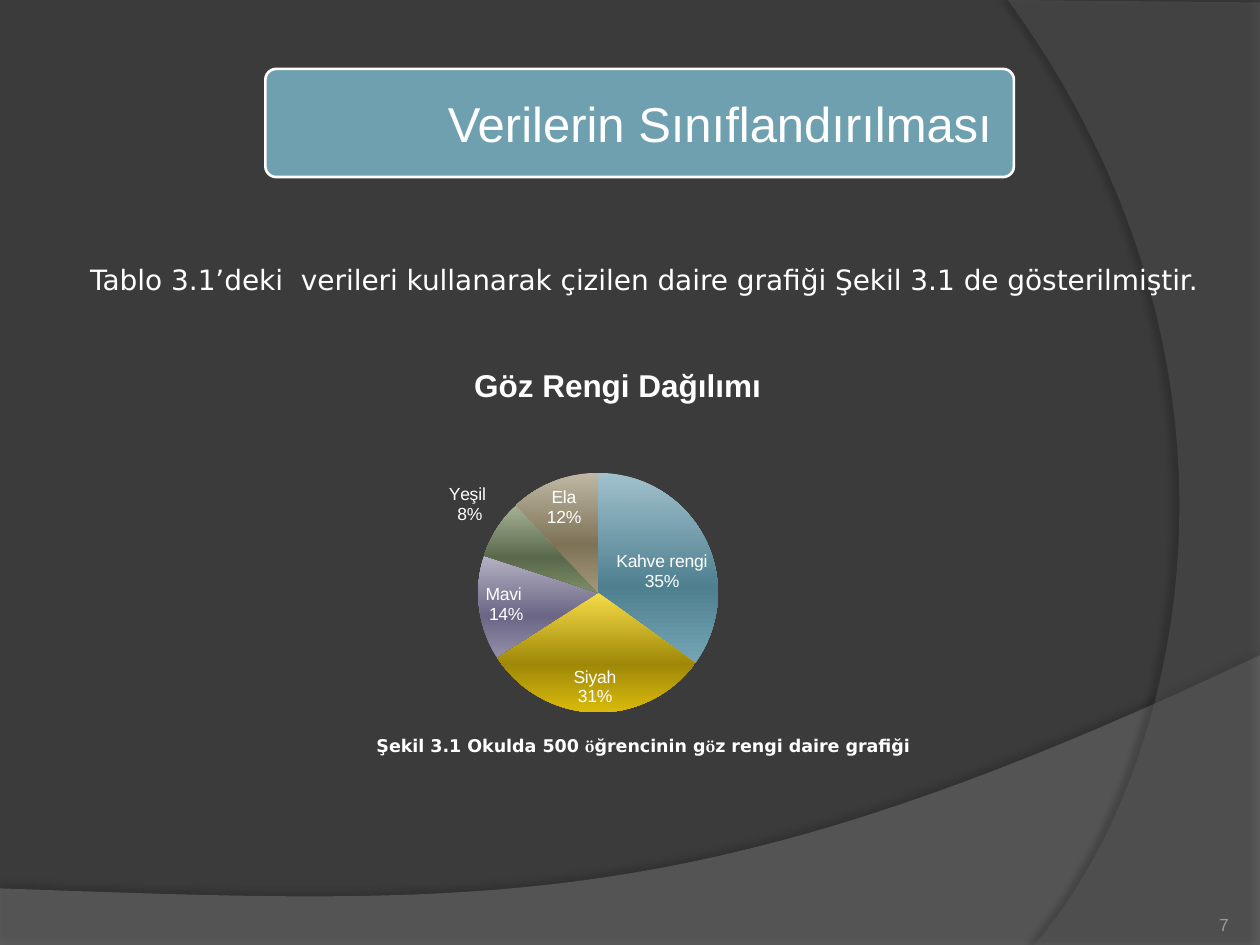
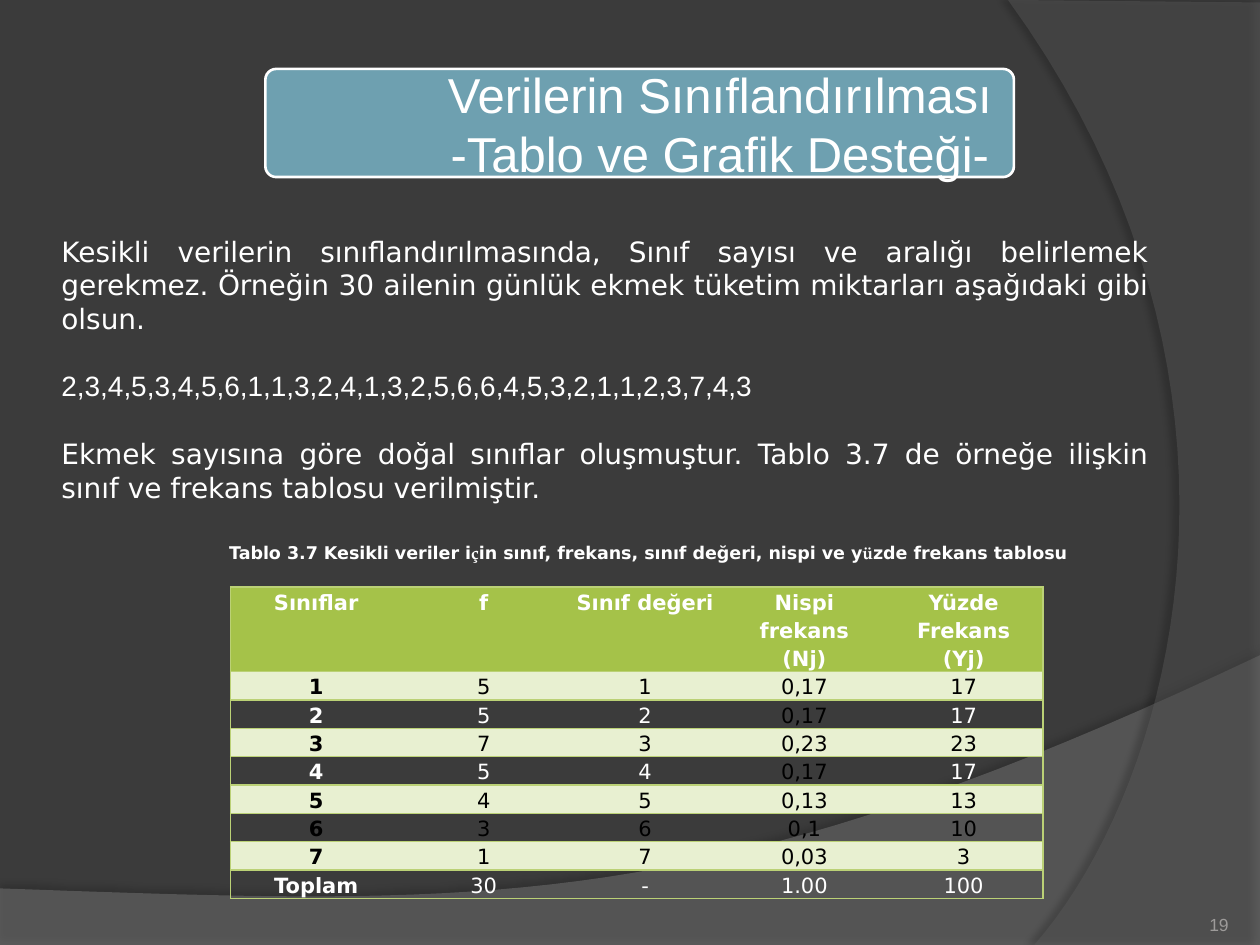
from copy import deepcopy
from dataclasses import dataclass
from itertools import cycle

from lxml.etree import SubElement
from pptx import Presentation
from pptx.chart.data import CategoryChartData
from pptx.dml.color import RGBColor
from pptx.enum.chart import XL_CHART_TYPE, XL_LABEL_POSITION
from pptx.enum.shapes import MSO_SHAPE
from pptx.enum.text import MSO_ANCHOR, MSO_AUTO_SIZE, PP_ALIGN
from pptx.oxml.ns import qn
from pptx.util import Cm, Pt


@dataclass(frozen=True)
class Theme:
    """Colours, fonts and type sizes of the presentation."""

    background: str = "3B3B3B"
    lower_wave: str = "7F7F7F"
    right_wave: str = "5E5E5E"
    banner: str = "6EA0B0"
    light: str = "FFFFFF"
    dark: str = "000000"
    page_number: str = "9D9B9A"
    table_header: str = "A5C249"
    table_band: str = "E8F0D1"
    table_border: str = "BBD176"
    slices: tuple = ("6EA0B0", "CCAF0A", "8D89A4", "748560", "9E9273")
    sans: str = "Arial"
    body: str = "DejaVu Sans"
    serif: str = "TeX Gyre Pagella"
    title_size: int = 28
    chart_title_size: int = 18
    body_size: int = 16
    table_size: int = 12
    small_size: int = 10


THEME = Theme()
TITLE = "Verilerin Sınıflandırılması"
EYE_COLOURS = {"Kahve rengi": 35, "Siyah": 31, "Mavi ": 14, "Yeşil ": 8, "Ela": 12}
BREAD_TABLE = [
    ["Sınıflar", "f", "Sınıf değeri", "Nispi frekans (Nj)", "Yüzde Frekans (Yj)"],
    ["1", "5", "1", "0,17", "17"],
    ["2", "5", "2", "0,17", "17"],
    ["3", "7", "3", "0,23", "23"],
    ["4", "5", "4", "0,17", "17"],
    ["5", "4", "5", "0,13", "13"],
    ["6", "3", "6", "0,1", "10"],
    ["7", "1", "7", "0,03", "3"],
    ["Toplam", "30", "-", "1.00", "100"],
]
BREAD_NOTES = [
    ("Kesikli verilerin sınıflandırılmasında, Sınıf sayısı ve aralığı belirlemek gerekmez. "
     "Örneğin 30 ailenin günlük ekmek tüketim miktarları aşağıdaki gibi olsun.", THEME.body),
    ("2,3,4,5,3,4,5,6,1,1,3,2,4,1,3,2,5,6,6,4,5,3,2,1,1,2,3,7,4,3", THEME.sans),
    ("Ekmek sayısına göre doğal sınıflar oluşmuştur. Tablo 3.7 de örneğe ilişkin "
     "sınıf ve frekans tablosu verilmiştir.", THEME.body),
]


def rgb(value):
    """Return the colour object of a hex value."""
    return RGBColor.from_string(value)


def apply_formats(target, formats):
    """Set every attribute named in formats on target."""
    for name, value in formats.items():
        setattr(target, name, value)


def format_font(font, size, name=THEME.sans, color=THEME.light, bold=False):
    """Set the face, size, weight and colour of a font."""
    apply_formats(font, {"size": Pt(size), "name": name, "bold": bold})
    font.color.rgb = rgb(color)


def box_cm(left, top, width, height):
    """Return a position and size given in centimetres."""
    return Cm(left), Cm(top), Cm(width), Cm(height)


def frame_formats(margin_x, margin_y, anchor=MSO_ANCHOR.MIDDLE, wrap=True):
    """Return the format values of a text frame."""
    return {
        "margin_left": Cm(margin_x), "margin_right": Cm(margin_x),
        "margin_top": Cm(margin_y), "margin_bottom": Cm(margin_y),
        "vertical_anchor": anchor, "word_wrap": wrap, "auto_size": MSO_AUTO_SIZE.NONE,
    }


def add_text(slide, box, paragraphs, size, align=PP_ALIGN.JUSTIFY, color=THEME.light,
             bold=False, gap=0, formats=frame_formats(0.25, 0.13)):
    """Add a text box whose paragraphs are lists of (text, font name) runs."""
    text_frame = slide.shapes.add_textbox(*box_cm(*box)).text_frame
    apply_formats(text_frame, formats)
    for index, runs in enumerate(paragraphs):
        paragraph = text_frame.add_paragraph() if index else text_frame.paragraphs[0]
        paragraph.alignment = align
        if index:
            paragraph.space_before = Pt(gap)
        for text, name in runs:
            run = paragraph.add_run()
            run.text = text
            format_font(run.font, size, name, color, bold)


def add_caption(slide, box, parts):
    """Add a bold caption whose parts alternate between sans and serif."""
    runs = list(zip(parts, cycle([THEME.body, THEME.serif])))
    add_text(slide, box, [runs], THEME.small_size, bold=True)


def curve_points(start, control_1, control_2, end, steps=40):
    """Return points along a cubic curve, after its start."""
    points = []
    for step in range(1, steps + 1):
        t = step / steps
        weights = ((1 - t) ** 3, 3 * t * (1 - t) ** 2, 3 * t * t * (1 - t), t ** 3)
        anchors = (start, control_1, control_2, end)
        points.append(tuple(sum(w * p[axis] for w, p in zip(weights, anchors))
                            for axis in (0, 1)))
    return points


def add_wave(slide, corners, curve, color, opacity, shadow):
    """Add a translucent wave with straight corners and one curved edge."""
    points = [(Cm(x), Cm(y)) for x, y in corners + curve_points(corners[-1], *curve)]
    builder = slide.shapes.build_freeform(*points[0])
    builder.add_line_segments(points[1:], close=True)
    wave = builder.convert_to_shape()
    wave.fill.solid()
    wave.fill.fore_color.rgb = rgb(color)
    wave.line.fill.background()
    wave.shadow.inherit = False
    fill_color = next(wave.element.spPr.iter(qn("a:srgbClr")))
    SubElement(fill_color, qn("a:alpha"), val=str(opacity * 1000))
    shadow_opacity, distance, direction = shadow
    effects = wave.element.spPr.find(qn("a:effectLst"))
    outer = SubElement(effects, qn("a:outerShdw"), blurRad=str(Pt(4)), dist=str(Pt(distance)),
                       dir=str(direction * 60000), algn="ctr", rotWithShape="0")
    shadow_color = SubElement(outer, qn("a:srgbClr"), val=THEME.dark)
    SubElement(shadow_color, qn("a:alpha"), val=str(shadow_opacity * 1000))


def add_title_banner(slide, lines):
    """Add the rounded banner and set the title placeholder on it."""
    banner = slide.shapes.add_shape(MSO_SHAPE.ROUNDED_RECTANGLE, *box_cm(5.35, 1.39, 15.09, 2.18))
    banner.adjustments[0] = 0.1
    banner.shadow.inherit = False
    banner.fill.solid()
    banner.fill.fore_color.rgb = rgb(THEME.banner)
    banner.line.color.rgb = rgb(THEME.light)
    banner.line.width = Pt(1.5)
    title = slide.shapes.title
    banner.element.addnext(title.element)
    apply_formats(title, dict(zip(("left", "top", "width", "height"),
                                  box_cm(8.59, 1.39, 11.84, 2.18))))
    title.text_frame.text = "\n".join(lines)
    apply_formats(title.text_frame, frame_formats(0.3, 0.3))
    for paragraph in title.text_frame.paragraphs:
        paragraph.alignment = PP_ALIGN.CENTER
        format_font(paragraph.font, THEME.title_size)


def add_base_slide(presentation, title_lines, number):
    """Add a title-only slide with waves, banner and page number."""
    slide = presentation.slides.add_slide(presentation.slide_layouts[5])
    add_wave(slide, [(0, 17.91), (0, 19.05), (25.4, 19.05), (25.4, 13.21)],
             [(14.2, 18.52), (9.93, 18.26), (0, 17.91)], THEME.lower_wave, 45, (35, 3.5, 270))
    add_wave(slide, [(25.4, 0.05), (25.4, 19.05), (20.85, 19.05)],
             [(23.75, 15.72), (25.86, 7.62), (20.32, 0)], THEME.right_wave, 40, (45, 4, 180))
    add_text(slide, (22.66, 17.83, 2.11, 1.02), [[(number, THEME.sans)]], THEME.small_size,
             PP_ALIGN.RIGHT, THEME.page_number, formats=frame_formats(0, 0, MSO_ANCHOR.BOTTOM))
    add_title_banner(slide, title_lines)
    return slide


def set_layout(element, **fractions):
    """Place a chart part by fractions of the chart area."""
    layout = element.find(qn("c:layout"))
    if layout is None:
        layout = SubElement(element, qn("c:layout"))
        element.insert(0, layout)
    manual = SubElement(layout, qn("c:manualLayout"))
    if "w" in fractions:
        SubElement(manual, qn("c:layoutTarget"), val="inner")
    for axis in "xy":
        SubElement(manual, qn(f"c:{axis}Mode"), val="edge")
    for name, value in fractions.items():
        SubElement(manual, qn(f"c:{name}"), val=str(value))


def format_slices(series):
    """Give each slice a three-stop gradient of its colour."""
    for index, color in enumerate(THEME.slices):
        fill = series.points[index].format.fill
        fill.gradient()
        fill.gradient_angle = 270
        stop_list = list(series._element.iter(qn("a:gsLst")))[-1]
        stop_list.append(deepcopy(stop_list[-1]))
        for stop, position, brightness in zip(fill.gradient_stops, (0, 0.6, 1),
                                              (0.35, -0.22, 0.05)):
            stop.position = position
            stop.color.rgb = rgb(color)
            stop.color.brightness = brightness


def add_pie(slide, box, heading, shares):
    """Add a pie chart with category and percent labels."""
    data = CategoryChartData()
    data.categories = list(shares)
    data.add_series("Series 1", list(shares.values()))
    chart = slide.shapes.add_chart(XL_CHART_TYPE.PIE, *box_cm(*box), data).chart
    chart.has_legend = False
    format_font(chart.font, THEME.small_size)
    chart.has_title = True
    title = chart.chart_title
    title.text_frame.text = heading
    format_font(title.text_frame.paragraphs[0].runs[0].font, THEME.chart_title_size, bold=True)
    set_layout(title._element, x=0.28, y=0.04)
    plot = chart.plots[0]
    plot.vary_by_categories = True
    set_layout(plot._element.getparent(), x=0.294, y=0.335, w=0.349, h=0.622)
    series = plot.series[0]
    format_slices(series)
    labels = series.data_labels
    apply_formats(labels, {
        "show_percentage": True, "show_category_name": True, "show_value": False,
        "number_format": "0%", "number_format_is_linked": False,
        "position": XL_LABEL_POSITION.BEST_FIT,
    })
    format_font(labels.font, THEME.small_size)
    separator = SubElement(labels._element, qn("c:separator"))
    separator.text = "\n"
    labels._element.find(qn("c:showBubbleSize")).addnext(separator)
    data.add_series("Series 2", list(shares.values()))
    chart.replace_data(data)


def set_borders(cell, visible_sides):
    """Draw the named sides of a cell and clear the others."""
    properties = cell._tc.get_or_add_tcPr()
    for index, side in enumerate("LRTB"):
        line = SubElement(properties, qn(f"a:ln{side}"), w=str(Pt(1)))
        if side in visible_sides:
            fill = SubElement(line, qn("a:solidFill"))
            SubElement(fill, qn("a:srgbClr"), val=THEME.table_border)
        else:
            SubElement(line, qn("a:noFill"))
        properties.insert(index, line)


def cell_colors(row, column):
    """Return the fill and text colours of a frequency table cell."""
    if row == 0:
        return THEME.table_header, THEME.light
    if row % 2:
        return THEME.table_band, THEME.dark
    dark_text = row == 6 or (column == 3 and row < 6)
    return None, THEME.dark if dark_text else THEME.light


def add_frequency_table(slide, left, top, widths, heights, rows):
    """Add the banded frequency table."""
    box = box_cm(left, top, sum(widths), sum(heights))
    table = slide.shapes.add_table(len(rows), len(widths), *box).table
    for column, width in zip(table.columns, widths):
        column.width = Cm(width)
    for row, height in zip(table.rows, heights):
        row.height = Cm(height)
    for row, texts in enumerate(rows):
        for column, text in enumerate(texts):
            cell = table.cell(row, column)
            fill, color = cell_colors(row, column)
            bottom = column == 3 and 0 < row < len(rows) - 1
            margin = Cm(0.25 if column >= 3 else 0.18)
            apply_formats(cell, {
                "text": text, "margin_left": margin, "margin_right": margin,
                "margin_top": 0, "margin_bottom": 0,
                "vertical_anchor": MSO_ANCHOR.BOTTOM if bottom else MSO_ANCHOR.TOP,
            })
            if fill:
                cell.fill.solid()
                cell.fill.fore_color.rgb = rgb(fill)
            else:
                cell.fill.background()
            set_borders(cell, "TB" + {0: "L", len(texts) - 1: "R"}.get(column, ""))
            paragraph = cell.text_frame.paragraphs[0]
            apply_formats(paragraph, {"alignment": PP_ALIGN.CENTER, "line_spacing": 1.15})
            format_font(paragraph.runs[0].font, THEME.table_size, THEME.body, color,
                        bold=row == 0 or column == 0)


def main():
    """Build and save the two slides."""
    presentation = Presentation()
    apply_formats(presentation, {"slide_width": Cm(25.4), "slide_height": Cm(19.05)})
    background = presentation.slide_master.background.fill
    background.solid()
    background.fore_color.rgb = rgb(THEME.background)

    pie_slide = add_base_slide(presentation, [TITLE], "7")
    intro = "Tablo 3.1’deki  verileri kullanarak çizilen daire grafiği Şekil 3.1 de gösterilmiştir."
    add_text(pie_slide, (1.57, 5.16, 23.32, 0.94), [[(intro, THEME.body)]], THEME.body_size,
             formats=frame_formats(0.25, 0.13, wrap=False))
    add_pie(pie_slide, (5.56, 6.93, 13.87, 7.77), "Göz Rengi Dağılımı", EYE_COLOURS)
    add_caption(pie_slide, (7.34, 14.68, 17.27, 0.69),
                ["Şekil 3.1 Okulda 500 ", "ö", "ğrencinin g", "ö", "z rengi daire grafiği"])

    table_slide = add_base_slide(presentation, [TITLE, "-Tablo ve Grafik Desteği-"], "19")
    add_text(table_slide, (0.99, 4.57, 22.43, 5.74), [[note] for note in BREAD_NOTES],
             THEME.body_size, gap=19.5)
    add_caption(table_slide, (4.37, 10.8, 20.45, 0.69),
                ["Tablo 3.7 Kesikli veriler i", "ç",
                 "in sınıf, frekans, sınıf değeri, nispi ve y", "ü", "zde frekans tablosu"])
    add_frequency_table(table_slide, 4.65, 11.83, [3.45, 3.3] + [3.21] * 3,
                        [1.7] + [0.57] * 8, BREAD_TABLE)
    presentation.save("out.pptx")


if __name__ == "__main__":
    main()
